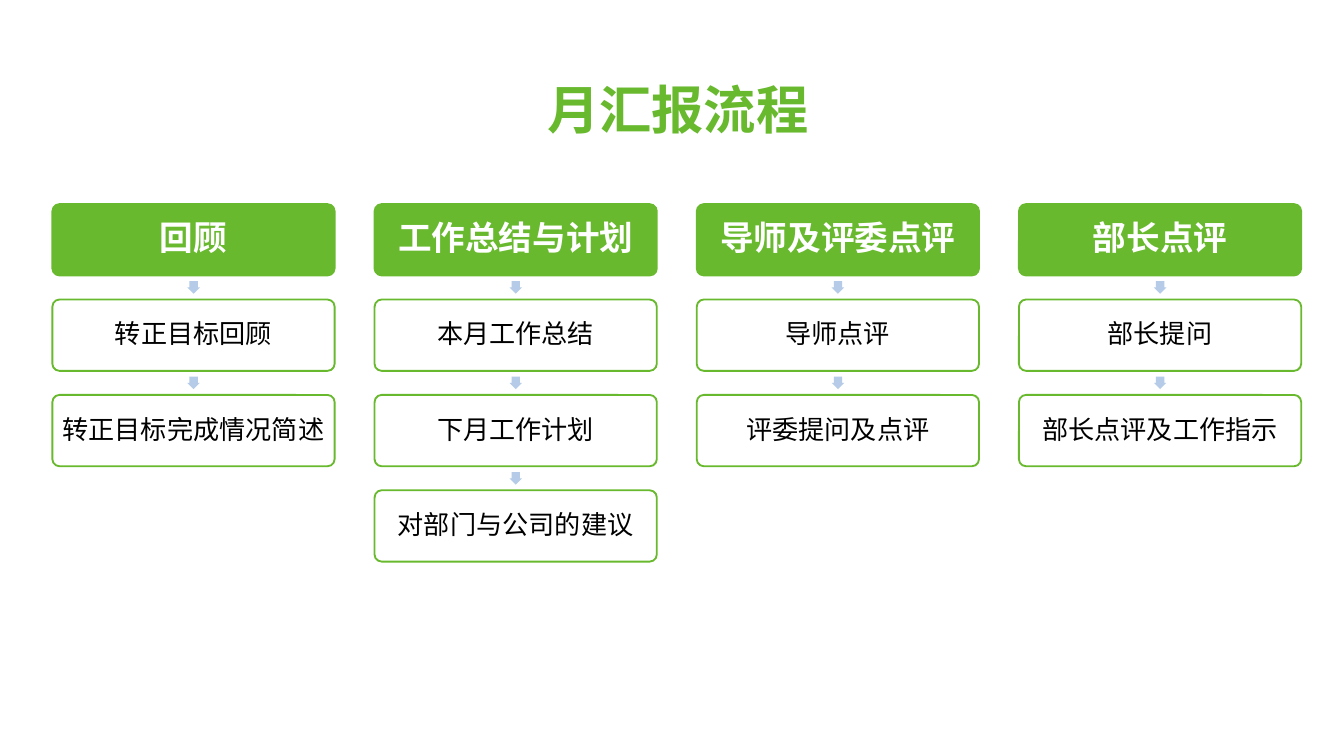
import pptx
import pptx.util
import pptx.dml.color
import pptx.enum.shapes
import pptx.enum.text

Pt = pptx.util.Pt
Kind = pptx.enum.shapes.MSO_SHAPE

HUES = {"green": "68B92E", "blue": "B5CBE7", "white": "FFFFFF", "black": "000000"}

# Each column: a heading, then its steps from top to bottom
FLOW = [
    ["回顾", "转正目标回顾", "转正目标完成情况简述"],
    ["工作总结与计划", "本月工作总结", "下月工作计划", "对部门与公司的建议"],
    ["导师及评委点评", "导师点评", "评委提问及点评"],
    ["部长点评", "部长提问", "部长点评及工作指示"],
]

# Grid
LEFT, TOP = 28.1, 109.4
BOX_W, BOX_H = 151.2, 38.2
STEP_X, STEP_Y = 172.6, 51.1
ARROW = 6.7


class Deck:
    font = "Noto Sans CJK SC"

    def __init__(self, wide, high):
        self.deck = pptx.Presentation()
        self.deck.slide_width, self.deck.slide_height = Pt(wide), Pt(high)
        self.slide = self.deck.slides.add_slide(self.deck.slide_layouts[6])

    def hue(self, name):
        return pptx.dml.color.RGBColor.from_string(HUES[name])

    def label(self, shape, text, size, hue, bold=False, inset=0):
        frame = shape.text_frame
        frame.word_wrap = True
        frame.vertical_anchor = pptx.enum.text.MSO_ANCHOR.MIDDLE
        frame.margin_left = frame.margin_right = Pt(inset)
        frame.margin_top = frame.margin_bottom = Pt(inset)
        para = frame.paragraphs[0]
        para.text = text
        para.alignment = pptx.enum.text.PP_ALIGN.CENTER
        para.font.name, para.font.size, para.font.bold = self.font, Pt(size), bold
        para.font.color.rgb = self.hue(hue)
        return para

    def title(self, text, x, y, wide, high):
        box = self.slide.shapes.add_textbox(Pt(x), Pt(y), Pt(wide), Pt(high))
        self.label(box, text, 28, "green", bold=True)

    def shape(self, kind, x, y, wide, high, fill):
        item = self.slide.shapes.add_shape(kind, Pt(x), Pt(y), Pt(wide), Pt(high))
        item.shadow.inherit = False
        item.fill.solid()
        item.fill.fore_color.rgb = self.hue(fill)
        return item

    def box(self, text, x, y, head):
        item = self.shape(Kind.ROUNDED_RECTANGLE, x, y, BOX_W, BOX_H,
                          "green" if head else "white")
        item.adjustments[0] = 0.1
        item.line.color.rgb = self.hue("green")
        item.line.width = Pt(1)
        size, hue = (18, "white") if head else (14, "black")
        para = self.label(item, text, size, hue, bold=head, inset=2.5)
        para.line_spacing = 0.9

    def arrow(self, x, y):
        item = self.shape(Kind.RIGHT_ARROW, x, y, ARROW, ARROW, "blue")
        item.adjustments[0] = 0.67
        item.rotation = 90
        item.line.fill.background()


def main():
    show = Deck(720, 405)
    show.title(" 月汇报流程", 0, 37.4, 720, 41.8)

    # Columns of boxes, with an arrow in each gap
    gap = STEP_Y - BOX_H
    for col, steps in enumerate(FLOW):
        x = LEFT + col * STEP_X
        for row, text in enumerate(steps):
            y = TOP + row * STEP_Y
            if row:
                show.arrow(x + (BOX_W - ARROW) / 2, y - (gap + ARROW) / 2)
            show.box(text, x, y, head=row == 0)

    show.deck.save("out.pptx")


if __name__ == "__main__":
    main()
